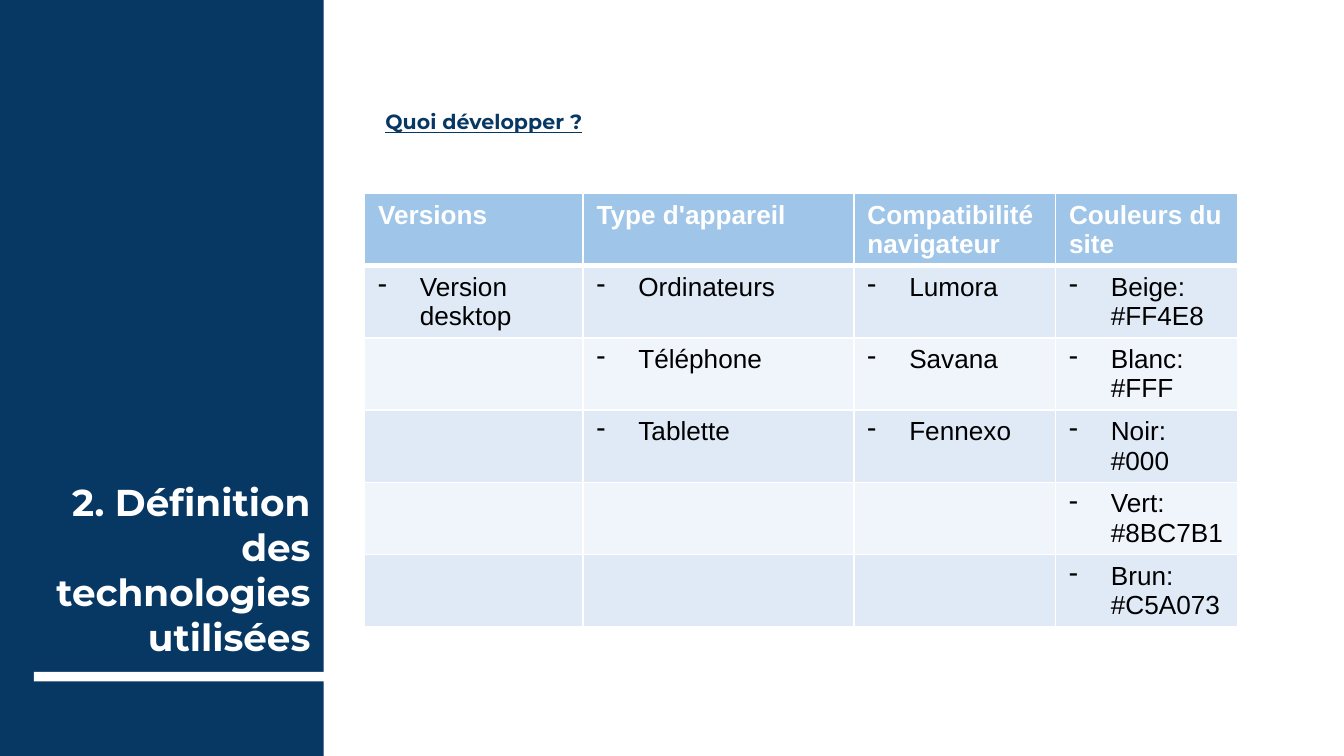
from lxml.etree import SubElement
from pptx import Presentation
from pptx.dml.color import RGBColor
from pptx.enum.shapes import MSO_SHAPE as Shape
from pptx.enum.text import MSO_ANCHOR as Anchor, MSO_AUTO_SIZE as AutoSize, PP_ALIGN as Align
from pptx.oxml import parse_xml
from pptx.oxml.ns import nsdecls, qn
from pptx.util import Cm, Pt

COLORS = {
    "navy": "073763",
    "white": "FFFFFF",
    "black": "000000",
    "header": "9FC5E8",
    "odd": "DFEAF6",
    "even": "F0F5FB",
}


def add_span(para, text, font, size, color, bold=False, underline=False):
    span = para.add_run()
    span.text = text
    span.font.name = font
    span.font.size = Pt(size)
    span.font.bold = bold
    span.font.underline = underline
    span.font.color.rgb = RGBColor.from_string(COLORS[color])


def set_indent(para, left, first):
    props = para._p.get_or_add_pPr()
    props.set("marL", str(Cm(left)))
    props.set("indent", str(Cm(first)))
    return props


deck = Presentation()
deck.slide_width, deck.slide_height = Cm(25.4), Cm(14.29)
page = deck.slides.add_slide(deck.slide_layouts[0])
title, subtitle = page.placeholders[0], page.placeholders[1]

# Side panel and rule, behind the title
for color, left, top, width, height in (
    ("navy", -0.1, -0.18, 6.22, 14.66),
    ("white", 0.64, 12.7, 5.79, 0.18),
):
    bar = page.shapes.add_shape(Shape.RECTANGLE, Cm(left), Cm(top), Cm(width), Cm(height))
    bar.shadow.inherit = False
    bar.fill.solid()
    bar.fill.fore_color.rgb = RGBColor.from_string(COLORS[color])
    bar.line.fill.background()
    title.element.addprevious(bar.element)

# Title and subtitle
for box, place, anchor in (
    (title, (0.25, 8.89, 5.87, 3.81), Anchor.BOTTOM),
    (subtitle, (6.63, 1.75, 17.48, 11.05), Anchor.TOP),
):
    box.left, box.top, box.width, box.height = [Cm(length) for length in place]
    frame = box.text_frame
    frame.word_wrap = True
    frame.auto_size = AutoSize.NONE
    frame.vertical_anchor = anchor
    frame.margin_left = frame.margin_right = Cm(0.25)
    frame.margin_top = frame.margin_bottom = Cm(0.25)

para = title.text_frame.paragraphs[0]
para.alignment = Align.RIGHT
para.space_before = Pt(0)
add_span(para, "2. Définition des technologies utilisées", "Montserrat", 20, "white", bold=True)

para = subtitle.text_frame.paragraphs[0]
para.alignment = Align.LEFT
para.line_spacing = 1.15
para.space_before = Pt(0)
set_indent(para, 1.27, -0.97)
add_span(para, "\u00a0", "Montserrat", 11, "navy")
add_span(para, "Quoi développer ?", "Montserrat", 11, "navy", bold=True, underline=True)

# Table
ROWS = [
    ["Versions", "Type d'appareil", "Compatibilité navigateur", "Couleurs du site"],
    ["Version desktop", "Ordinateurs", "Lumora", "Beige: #FF4E8"],
    ["", "Téléphone", "Savana", "Blanc: #FFF"],
    ["", "Tablette", "Fennexo", "Noir: #000"],
    ["", "", "", "Vert: #8BC7B1"],
    ["", "", "", "Brun: #C5A073"],
]
WIDTHS = [4.13, 5.12, 3.81, 3.45]
ROW_HEIGHT = 1.36

table = page.shapes.add_table(
    len(ROWS), len(WIDTHS), Cm(6.89), Cm(3.66), Cm(sum(WIDTHS)), Cm(ROW_HEIGHT * len(ROWS))
).table
table.horz_banding = False
for column, width in zip(table.columns, WIDTHS):
    column.width = Cm(width)

for r, texts in enumerate(ROWS):
    table.rows[r].height = Cm(ROW_HEIGHT)
    fill = "header" if r == 0 else ("odd" if r % 2 else "even")
    for c, text in enumerate(texts):
        cell = table.cell(r, c)
        cell.fill.solid()
        cell.fill.fore_color.rgb = RGBColor.from_string(COLORS[fill])

        # White borders, thicker under the header
        weights = {"lnL": 1, "lnR": 1, "lnT": 3 if r == 1 else 1, "lnB": 3 if r == 0 else 1}
        for i, (side, weight) in enumerate(weights.items()):
            cell._tc.get_or_add_tcPr().insert(i, parse_xml(
                f'<a:{side} {nsdecls("a")} w="{Pt(weight)}"><a:solidFill>'
                f'<a:srgbClr val="{COLORS["white"]}"/></a:solidFill></a:{side}>'
            ))

        if not text:
            continue
        para = cell.text_frame.paragraphs[0]
        if r == 0:
            add_span(para, text, "Arial", 14, "white", bold=True)
        else:
            props = set_indent(para, 0.79, -0.79)
            bullet_color = SubElement(props, qn("a:buClr"))
            SubElement(bullet_color, qn("a:srgbClr"), val=COLORS["black"])
            SubElement(props, qn("a:buChar"), char="-")
            add_span(para, text, "Arial", 14, "black")

deck.save("out.pptx")
